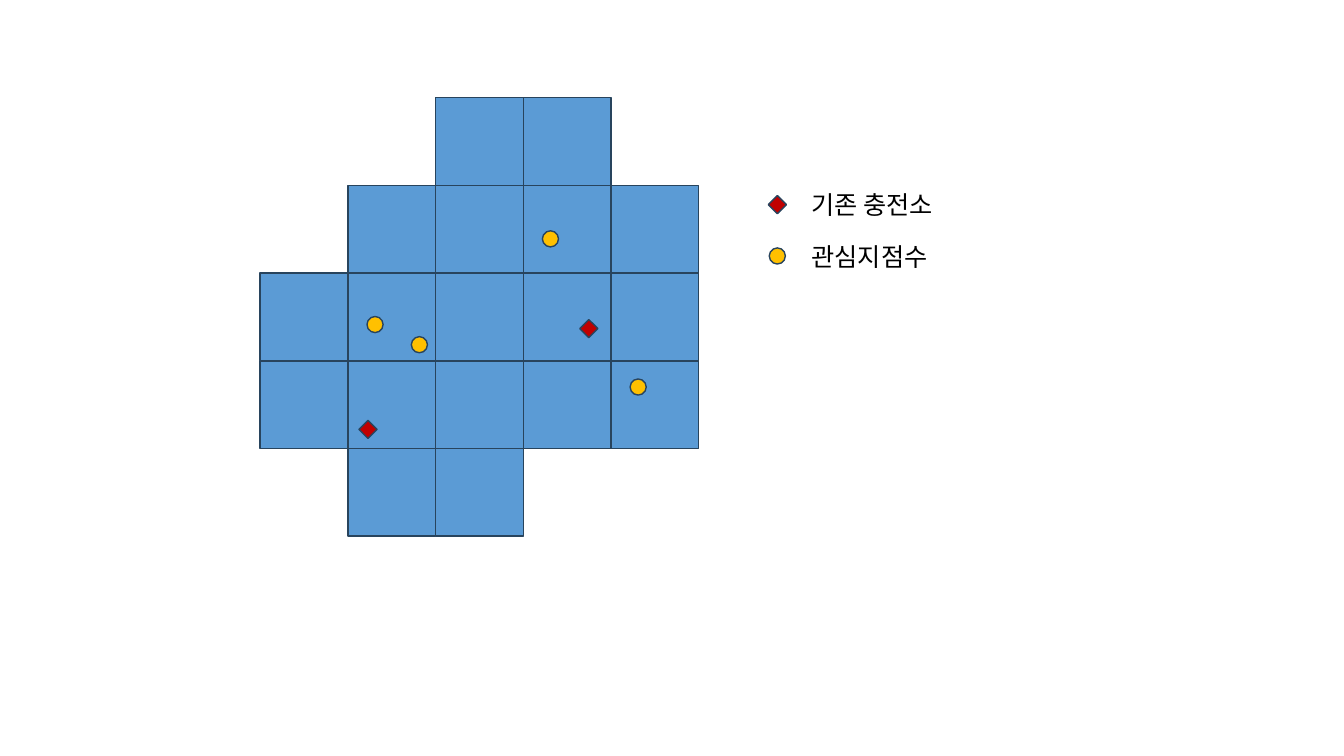
from lxml.etree import SubElement
from pptx import Presentation
from pptx.dml.color import RGBColor
from pptx.enum.shapes import MSO_SHAPE
from pptx.enum.text import MSO_AUTO_SIZE
from pptx.oxml.ns import qn
from pptx.util import Emu, Inches, Pt

BLUE = RGBColor(0x5B, 0x9B, 0xD5)
NAVY = RGBColor(0x28, 0x44, 0x5D)
AMBER = RGBColor(0xFF, 0xC0, 0x00)
RED = RGBColor(0xC0, 0x00, 0x00)
BLACK = RGBColor(0, 0, 0)
FONT = "Noto Sans CJK KR"

GRID_ROWS = ["..##.", ".####", "#####", "#####", ".##.."]
GRID_LEFT, GRID_TOP, CELL = 258, 97, 87

MARKERS = {
    "poi": (MSO_SHAPE.OVAL, 16, AMBER),
    "station": (MSO_SHAPE.DIAMOND, 18, RED),
}
PLACES = [
    ("poi", 538, 229),
    ("poi", 364, 314),
    ("poi", 625, 376),
    ("poi", 408, 334),
    ("station", 575, 317),
    ("station", 356, 417),
]
LEGEND = [
    ("poi", 763, 246, "관심지점수", 234, 146),
    ("station", 762, 194, "기존 충전소", 183, 155),
]
LABEL_LEFT, LABEL_HEIGHT = 795, 40


def px(n):
    return Emu(n * 9144)


def add_figure(shapes, kind, left, top, size, color):
    sp = shapes.add_shape(kind, px(left), px(top), px(size), px(size))
    sp.shadow.inherit = False
    sp.fill.solid()
    sp.fill.fore_color.rgb = color
    sp.line.color.rgb = NAVY
    sp.line.width = Pt(1)


def add_marker(shapes, name, left, top):
    kind, size, color = MARKERS[name]
    add_figure(shapes, kind, left, top, size, color)


def add_label(shapes, text, top, width):
    tf = shapes.add_textbox(px(LABEL_LEFT), px(top), px(width), px(LABEL_HEIGHT)).text_frame
    tf.word_wrap = False
    tf.auto_size = MSO_AUTO_SIZE.SHAPE_TO_FIT_TEXT
    r = tf.paragraphs[0].add_run()
    r.text = text
    r.font.color.rgb = BLACK
    for name, value in {"size": Pt(18), "name": FONT}.items():
        setattr(r.font, name, value)
    SubElement(r.font._element, qn("a:ea"), typeface=FONT)


def main():
    prs = Presentation()
    prs.slide_width, prs.slide_height = Inches(13.33), Inches(7.5)
    s = prs.slides.add_slide(prs.slide_layouts[6])

    grid = s.shapes.add_group_shape()
    for row, cells in enumerate(GRID_ROWS):
        for col, cell in enumerate(cells):
            if cell == "#":
                add_figure(grid.shapes, MSO_SHAPE.RECTANGLE,
                           GRID_LEFT + col * CELL, GRID_TOP + row * CELL, CELL, BLUE)

    for name, left, top in PLACES:
        add_marker(s.shapes, name, left, top)

    for name, left, top, text, label_top, width in LEGEND:
        add_marker(s.shapes, name, left, top)
        add_label(s.shapes, text, label_top, width)

    prs.save("out.pptx")


if __name__ == "__main__":
    main()
